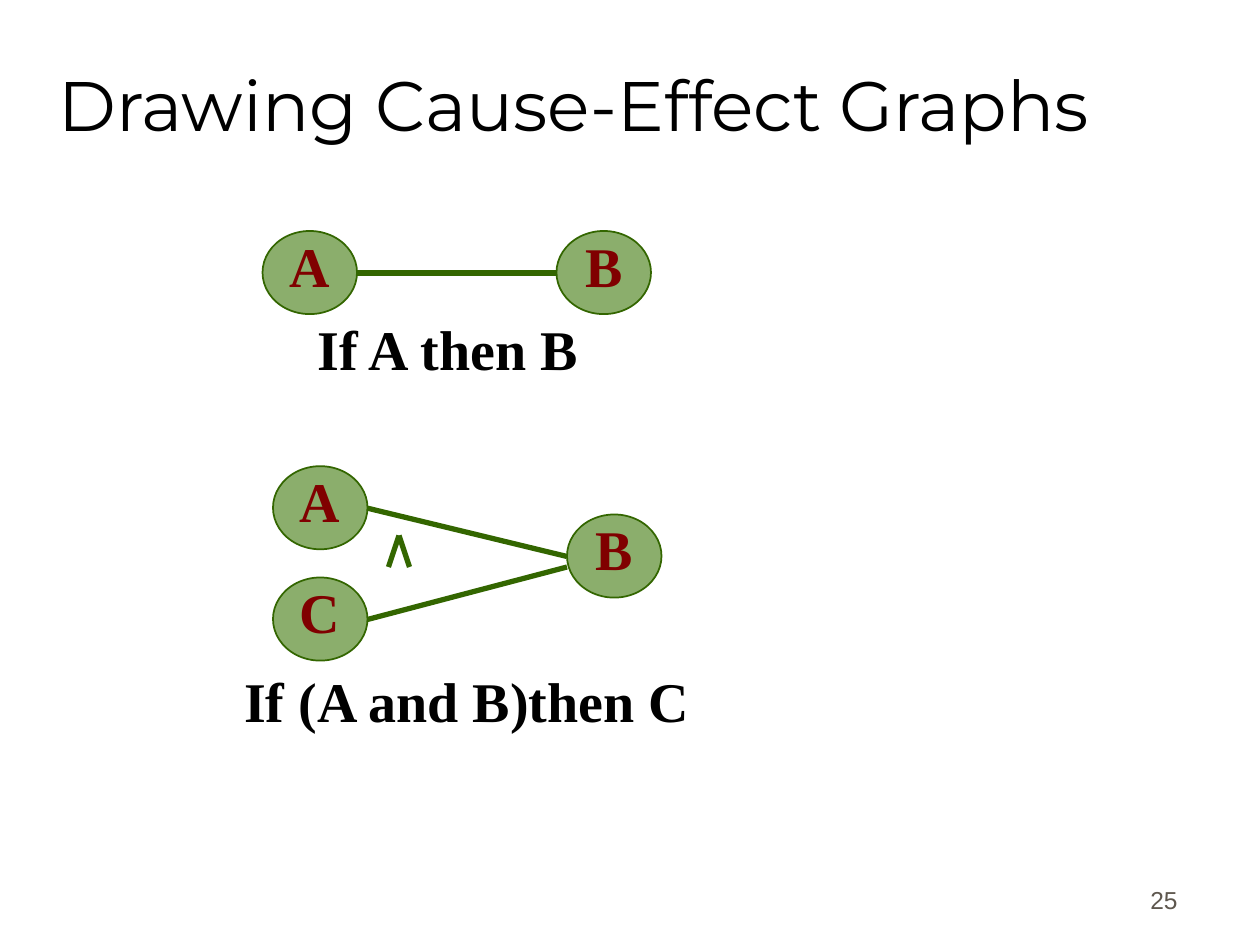
"""Build the slide on drawing cause-effect graphs."""
from pptx import Presentation
from pptx.dml.color import RGBColor
from pptx.enum.shapes import MSO_CONNECTOR, MSO_SHAPE
from pptx.enum.text import MSO_ANCHOR, PP_ALIGN
from pptx.oxml.ns import qn
from pptx.util import Pt
from lxml.etree import SubElement

BLACK = RGBColor(0x00, 0x00, 0x00)
GREEN = RGBColor(0x33, 0x66, 0x00)
LIGHT_GREEN = RGBColor(0x8B, 0xAE, 0x6C)
MAROON = RGBColor(0x80, 0x00, 0x00)
GRAY = RGBColor(0x5E, 0x57, 0x4E)
SERIF = "Times New Roman"
NODE_W, NODE_H = 54, 47.5


def set_text(sp, text, font=SERIF, size=32, color=BLACK, bold=False,
             align=PP_ALIGN.LEFT, anchor=MSO_ANCHOR.MIDDLE,
             before=0, spacing=1.0, inset=1.5):
    tf = sp.text_frame
    tf.word_wrap = True
    tf.vertical_anchor = anchor
    tf.margin_left = tf.margin_right = Pt(inset)
    tf.margin_top = tf.margin_bottom = Pt(3.6)
    p = tf.paragraphs[0]
    p.alignment = align
    p.space_before = Pt(before)
    p.line_spacing = spacing
    r = p.add_run()
    r.text = text
    r.font.name = font
    r.font.size = Pt(size)
    r.font.bold = bold
    r.font.color.rgb = color


prs = Presentation()
prs.slide_width, prs.slide_height = Pt(720), Pt(540)
s = prs.slides.add_slide(prs.slide_layouts[5])

title = s.shapes.title
title.left, title.top, title.width, title.height = Pt(32), Pt(14.4), Pt(612), Pt(90)
set_text(title, "Drawing Cause-Effect Graphs", font="Montserrat", size=40, before=5.2)

number = s.shapes.add_textbox(Pt(530), Pt(490), Pt(150), Pt(36))
set_text(number, "25", font="Arial", size=14, color=GRAY, align=PP_ALIGN.RIGHT,
         anchor=MSO_ANCHOR.BOTTOM, before=8.8, inset=7.2)

nodes = [
    ("A", 150, 132), ("B", 318, 132),
    ("A", 156, 266.4), ("B", 324, 294), ("C", 156, 330),
]
for label, x, y in nodes:
    sp = s.shapes.add_shape(MSO_SHAPE.OVAL, Pt(x), Pt(y), Pt(NODE_W), Pt(NODE_H))
    sp.shadow.inherit = False
    sp.fill.solid()
    sp.fill.fore_color.rgb = LIGHT_GREEN
    sp.line.color.rgb = GREEN
    sp.line.width = Pt(1)
    set_text(sp, label, color=MAROON, bold=True, align=PP_ALIGN.CENTER,
             before=7.1, spacing=0.72)

edges = [(204, 156, 318, 156), (210, 290.4, 324, 318), (210, 354, 324, 324)]
and_sign = [(222, 324, 228, 306), (234, 324, 228, 306)]
for ends in edges + and_sign:
    line = s.shapes.add_connector(MSO_CONNECTOR.STRAIGHT, *map(Pt, ends))
    line.line.color.rgb = GREEN
    line.line.width = Pt(3)
    SubElement(line._element.spPr, qn("a:effectLst"))

captions = [("If A then B", 180, 186, 240), ("If (A and B)then C", 138, 387, 312)]
for text, x, y, w in captions:
    caption = s.shapes.add_textbox(Pt(x), Pt(y), Pt(w), Pt(45))
    set_text(caption, text, bold=True, anchor=MSO_ANCHOR.TOP, before=18.3, spacing=0.72)

prs.save("out.pptx")
